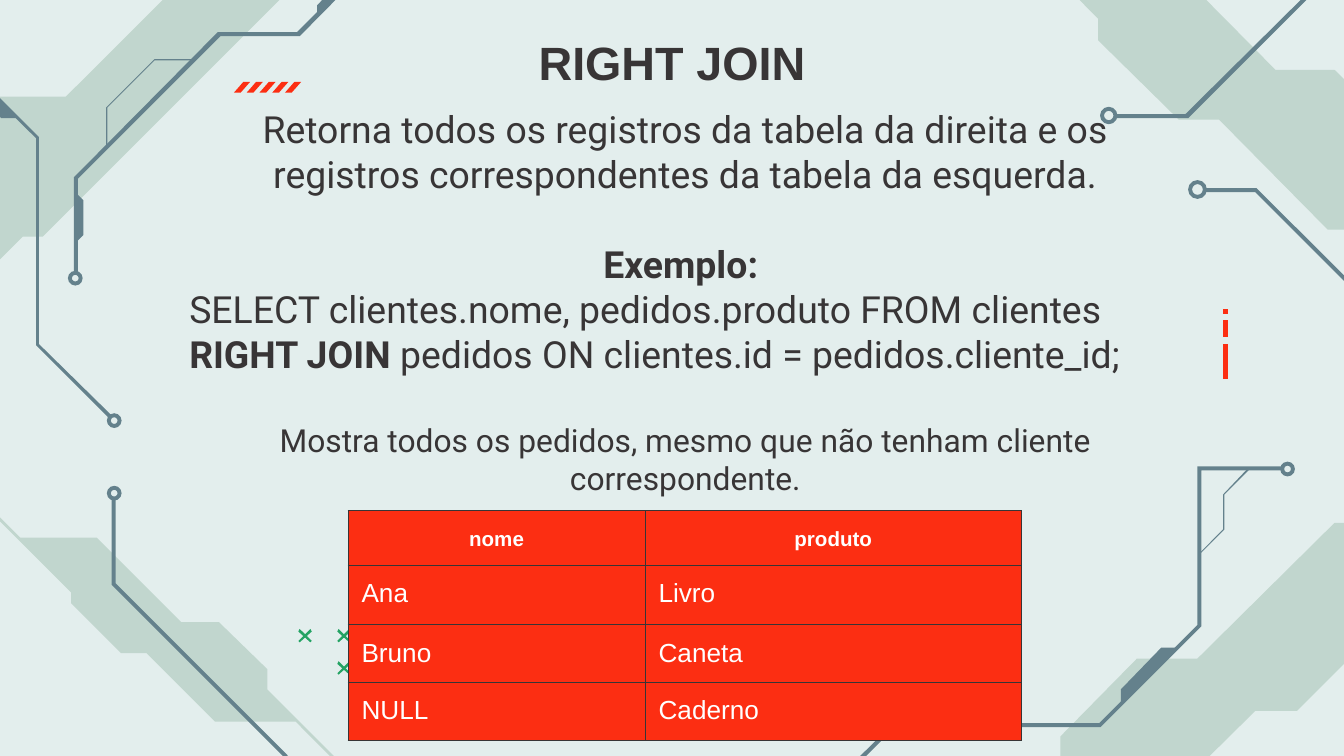
from lxml.etree import SubElement
from pptx import Presentation
from pptx.dml.color import RGBColor
from pptx.enum.shapes import MSO_SHAPE
from pptx.enum.text import MSO_ANCHOR, MSO_AUTO_SIZE, PP_ALIGN
from pptx.oxml.ns import qn
from pptx.util import Inches, Pt

MIST = RGBColor(0xE3, 0xEE, 0xED)
SAGE = RGBColor(0xC1, 0xD6, 0xCE)
SLATE = RGBColor(0x64, 0x81, 0x8C)
GREEN = RGBColor(0x24, 0xA3, 0x64)
RED = RGBColor(0xFC, 0x2E, 0x12)
INK = RGBColor(0x38, 0x35, 0x36)
WHITE = RGBColor(0xFF, 0xFF, 0xFF)

prs = Presentation()
prs.slide_width = Inches(10)
prs.slide_height = Inches(10) * 9 // 16
slide = prs.slides.add_slide(prs.slide_layouts[5])
slide.background.fill.solid()
slide.background.fill.fore_color.rgb = MIST


def draw(points, color):
    corners = [(Inches(x), Inches(y)) for x, y in points]
    builder = slide.shapes.build_freeform(*corners[0])
    builder.add_line_segments(corners[1:], close=True)
    outline = builder.convert_to_shape()
    outline.fill.solid()
    outline.fill.fore_color.rgb = color
    outline.line.fill.background()
    outline.shadow.inherit = False


def write(paragraph, text, size=20, font="Roboto", color=INK, bold=False, align=PP_ALIGN.CENTER):
    paragraph.alignment = align
    run = paragraph.add_run()
    run.text = text
    run.font.size = Pt(size)
    run.font.name = font
    run.font.bold = bold
    run.font.color.rgb = color


corner_bands = [
    [(8.49, -0.49), (9.49, 0.52), (9.93, 0.52), (10.5, 1.08), (10.5, 1.35), (10.86, 1.71),
     (9.88, 1.71), (9.07, 0.89), (8.77, 0.89), (8.17, 0.3), (8.17, 0.14), (7.55, -0.49)],
    [(-2.06, 1.79), (-2.08, 1.8), (0.53, 4.41), (0.53, 4.49), (0.9, 4.86), (1.09, 4.86),
     (1.6, 5.37), (2.2, 5.37), (4.82, 8), (4.84, 7.98), (1.99, 5.13), (1.99, 4.98),
     (1.63, 4.63), (1.35, 4.63), (0.72, 4), (0.15, 4)],
    [(9.93, 3.89), (8.91, 4.9), (8.46, 4.9), (7.89, 5.48), (7.89, 5.75), (7.52, 6.11),
     (8.51, 6.11), (9.34, 5.29), (9.65, 5.29), (10.25, 4.69), (10.25, 4.53), (10.89, 3.89)],
    [(1.21, 0), (0.49, 0.72), (-0.16, 0.72), (-1.62, 2.17), (-0.25, 2.18), (0.17, 1.76),
     (0.32, 1.76), (2.08, 0)],
]
circuit_traces = [
    [(0.83, 3.7), (0.83, 4.35), (2.11, 5.63), (2.11, 6.02), (2.14, 6.02), (2.14, 5.62),
     (0.86, 4.34), (0.86, 3.7)],
    [(11.2, 2.66), (10.57, 2.66), (9.34, 1.43), (8.97, 1.43), (8.97, 1.4), (9.35, 1.4),
     (10.58, 2.63), (11.2, 2.63)],
    [(9.55, 3.47), (8.91, 3.47), (8.91, 4.65), (8.18, 5.38), (6.65, 5.38), (6.09, 5.93),
     (6.12, 5.95), (6.66, 5.41), (8.19, 5.41), (8.94, 4.66), (8.94, 3.5), (9.55, 3.5)],
    [(8.77, 4.82), (8.64, 4.82), (8.34, 5.13), (8.34, 5.25)],
    [(9.3, 3.49), (9.29, 3.48), (9.1, 3.68), (9.1, 3.94), (8.92, 4.12), (8.93, 4.12),
     (9.11, 3.94), (9.11, 3.68)],
    [(0.57, 1.44), (0.62, 1.49), (0.62, 1.75), (0.57, 1.8)],
    [(2.62, -0.15), (2.36, 0.11), (2.36, 0.04), (2.54, -0.15)],
    [(3, -0.55), (3.02, -0.53), (2.23, 0.27), (1.64, 0.27), (0.58, 1.33), (0.58, 2.03),
     (0.55, 2.03), (0.55, 1.32), (1.62, 0.24), (2.21, 0.24)],
    [(1.45, 0.44), (1.45, 0.45), (1.15, 0.45), (0.8, 0.8), (0.8, 1.09), (0.79, 1.09),
     (0.79, 0.8), (1.15, 0.44)],
    [(10.23, -0.19), (9.91, -0.19), (8.84, 0.88), (8.29, 0.88), (8.29, 0.85), (8.82, 0.85),
     (9.9, -0.22), (10.23, -0.22)],
    [(-1.64, -0.33), (-1.64, 0.31), (-0.46, 0.31), (0.27, 1.03), (0.27, 2.57), (0.82, 3.12),
     (0.84, 3.1), (0.29, 2.56), (0.29, 1.02), (-0.45, 0.28), (-1.61, 0.28), (-1.61, -0.33)],
    [(-0.29, 0.45), (-0.29, 0.57), (0.01, 0.88), (0.13, 0.88)],
]
for color, outlines in ((SAGE, corner_bands), (SLATE, circuit_traces)):
    for points in outlines:
        draw(points, color)

for x, y, diameter in [(0.85, 3.67, 0.11), (8.91, 1.41, 0.14), (9.58, 3.49, 0.11),
                       (0.56, 2.07, 0.11), (8.25, 0.86, 0.13), (0.85, 3.13, 0.11)]:
    node = slide.shapes.add_shape(MSO_SHAPE.DONUT, Inches(x - diameter / 2), Inches(y - diameter / 2),
                                  Inches(diameter), Inches(diameter))
    node.adjustments[0] = 0.03 / diameter
    node.fill.solid()
    node.fill.fore_color.rgb = SLATE
    node.line.fill.background()
    node.shadow.inherit = False

for x, y in [(2.22, 4.68), (2.51, 4.68), (2.51, 4.92)]:
    draw([(x + 0.09, y), (x, y + 0.09), (x + 0.01, y + 0.1), (x + 0.1, y + 0.02)], GREEN)
    draw([(x + 0.01, y), (x, y + 0.02), (x + 0.09, y + 0.1), (x + 0.1, y + 0.09)], GREEN)

for index in range(5):
    x = 1.74 + 0.095 * index
    draw([(x + 0.07, 0.61), (x, 0.69), (x + 0.05, 0.69), (x + 0.12, 0.61)], RED)

for top, bottom in [(2.3, 2.34), (2.38, 2.51), (2.56, 2.82)]:
    draw([(9.1, top), (9.14, top), (9.14, bottom), (9.1, bottom)], RED)

title = slide.shapes.title
title.left, title.top, title.width, title.height = Inches(2.36), Inches(-0.11), Inches(5.28), Inches(1.14)
explanation = slide.shapes.add_textbox(Inches(1.31), Inches(0.69), Inches(7.58), Inches(4.12))
for box in (title, explanation):
    frame = box.text_frame
    frame.word_wrap = True
    frame.auto_size = MSO_AUTO_SIZE.NONE
    frame.margin_left = frame.margin_right = frame.margin_top = frame.margin_bottom = Inches(0.1)
title.text_frame.vertical_anchor = MSO_ANCHOR.MIDDLE
write(title.text_frame.paragraphs[0], "RIGHT JOIN", size=25, font="Arial", bold=True)

definition = explanation.text_frame.paragraphs[0]
example, query, result = [explanation.text_frame.add_paragraph() for _ in range(3)]
write(definition, "Retorna todos os registros da tabela da direita e os "
      "registros correspondentes da tabela da esquerda.")
write(example, "Exemplo: ", bold=True)
write(query, "SELECT clientes.nome, pedidos.produto FROM clientes ", align=PP_ALIGN.LEFT)
write(query, "RIGHT JOIN", bold=True, align=PP_ALIGN.LEFT)
write(query, " pedidos ON clientes.id = pedidos.cliente_id;", align=PP_ALIGN.LEFT)
write(result, "Mostra todos os pedidos, mesmo que não tenham cliente correspondente.", size=17)
example.space_before = Pt(24.5)
result.space_before = Pt(24)

records = [("nome", "produto"), ("Ana", "Livro"), ("Bruno", "Caneta"), ("NULL", "Caderno")]
orders = slide.shapes.add_table(4, 2, Inches(2.59), Inches(3.8), Inches(5.01), Inches(1.71)).table
for column, width in zip(orders.columns, (2.21, 2.8)):
    column.width = Inches(width)
for row, height in zip(orders.rows, (0.41, 0.44, 0.43, 0.43)):
    row.height = Inches(height)
for r, record in enumerate(records):
    for c, value in enumerate(record):
        cell = orders.cell(r, c)
        cell.margin_left = cell.margin_right = cell.margin_top = cell.margin_bottom = Inches(0.1)
        for side in ("a:lnL", "a:lnR", "a:lnT", "a:lnB"):
            border = SubElement(cell._tc.get_or_add_tcPr(), qn(side), w=str(Pt(0.75)))
            SubElement(SubElement(border, qn("a:solidFill")), qn("a:srgbClr"), val=str(INK))
        cell.fill.solid()
        cell.fill.fore_color.rgb = RED
        paragraph = cell.text_frame.paragraphs[0]
        if r == 0:
            paragraph.line_spacing = 1.15
            write(paragraph, value, size=11, font="Arial", color=WHITE, bold=True)
        else:
            write(paragraph, value, size=14, font="Arial", color=WHITE, align=PP_ALIGN.LEFT)

prs.save("out.pptx")
